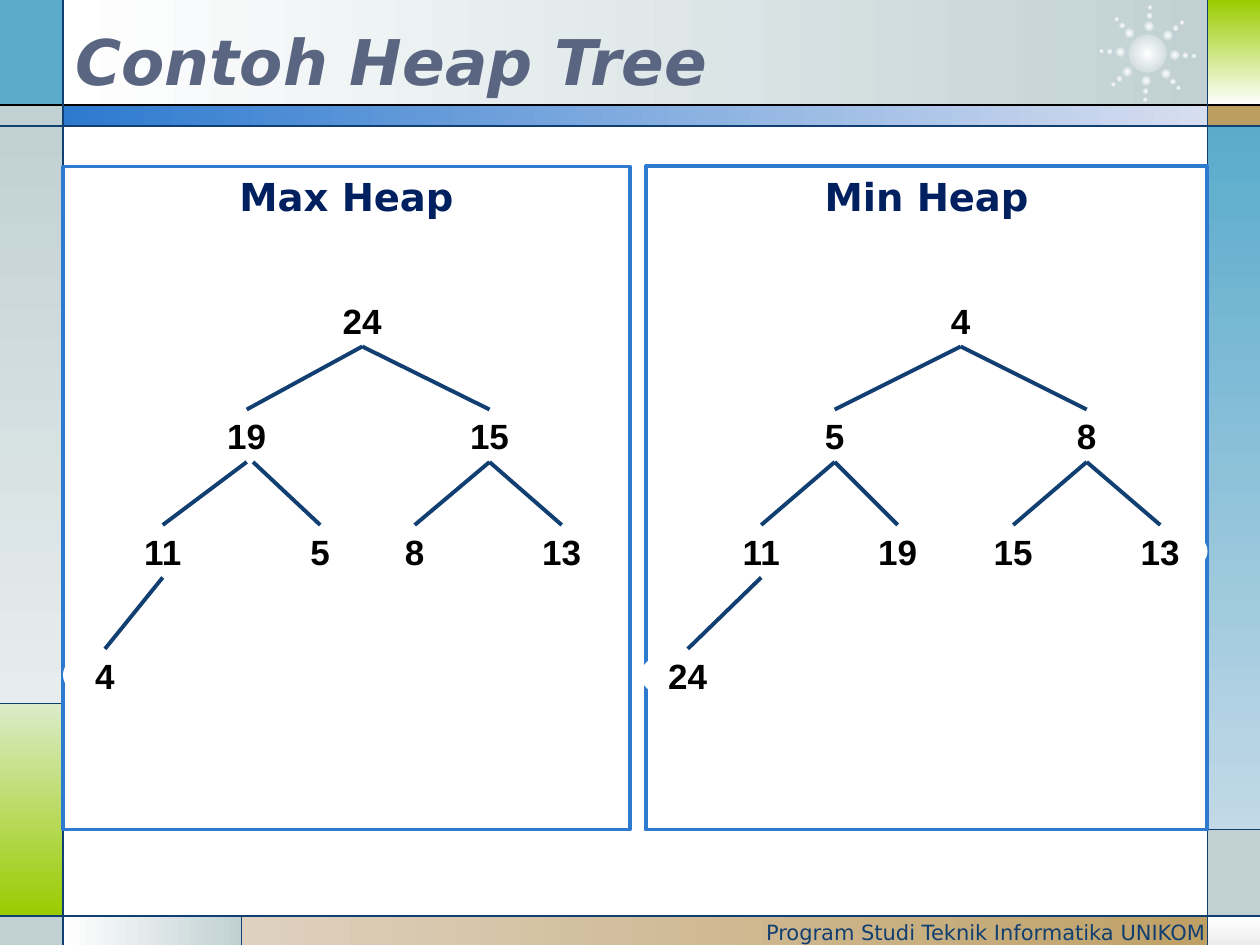
import math
from typing import NamedTuple

import lxml.etree
import pptx
import pptx.dml.color
import pptx.enum.shapes
import pptx.enum.text
import pptx.oxml.ns
import pptx.util

RGBColor = pptx.dml.color.RGBColor
Shape = pptx.enum.shapes.MSO_SHAPE
Align = pptx.enum.text.PP_ALIGN
Anchor = pptx.enum.text.MSO_ANCHOR
qn = pptx.oxml.ns.qn

WHITE = RGBColor(0xFF, 0xFF, 0xFF)
BLACK = RGBColor(0, 0, 0)
MIST = RGBColor(0xC1, 0xD1, 0xD3)
PALE_MIST = RGBColor(0xE7, 0xED, 0xEE)
SILVER = RGBColor(0xED, 0xED, 0xED)
SKY = RGBColor(0x5A, 0xAB, 0xCC)
PALE_SKY = RGBColor(0xC2, 0xD9, 0xE7)
GREEN = RGBColor(0x99, 0xCC, 0x00)
PALE_GREEN = RGBColor(0xDB, 0xEB, 0xC9)
TAN = RGBColor(0xBD, 0x9E, 0x61)
PALE_TAN = RGBColor(0xDE, 0xD1, 0xBF)
BLUE = RGBColor(0x2D, 0x7A, 0xCF)
PALE_BLUE = RGBColor(0xD7, 0xDE, 0xF0)
NAVY = RGBColor(0x11, 0x3F, 0x71)
HEADING = RGBColor(0x00, 0x20, 0x60)
SLATE = RGBColor(0x5A, 0x65, 0x81)

COLUMNS, ROWS = 120, 90
LEFT, RIGHT = 6, 115
BAND_TOP, BAND_BOTTOM = 10, 12
SIDE_LEFT, SIDE_RIGHT = 67, 79
FOOT, FOOT_SPLIT = 87.25, 23
NODE_ROWS, NODE_HEIGHT = (28, 39, 50, 61.8), 5
RIGHTWARD, DOWNWARD = 0, 270


class Node(NamedTuple):
    value: int
    left: float
    width: float = 9
    shift: float = 0

    @property
    def center(self):
        return self.left + self.width / 2


MAX_HEAP = [Node(24, 30), Node(19, 19), Node(15, 42.25, 8.75), Node(11, 11),
            Node(5, 26, shift=0.6), Node(8, 35), Node(13, 49), Node(4, 6, 8)]
MIN_HEAP = [Node(4, 88, 7), Node(5, 76, 7), Node(8, 100, 7), Node(11, 68),
            Node(19, 81), Node(15, 92), Node(13, 106), Node(24, 61)]


class Canvas:
    heading_font = "DejaVu Sans"
    node_font = "Arial"

    def __init__(self, presentation):
        self.slide = presentation.slides.add_slide(presentation.slide_layouts[6])
        self.column = presentation.slide_width / COLUMNS
        self.row = presentation.slide_height / ROWS

    def place(self, left, top, width, height):
        return (round(left * self.column), round(top * self.row),
                round(width * self.column), round(height * self.row))

    def shape(self, kind, box, colors, angle=RIGHTWARD, radial=False):
        shape = self.slide.shapes.add_shape(kind, *self.place(*box))
        shape.shadow.inherit = False
        shape.line.fill.background()
        if len(colors) == 1:
            shape.fill.solid()
            shape.fill.fore_color.rgb = colors[0]
            return shape
        shape.fill.gradient()
        for stop, color in zip(shape.fill.gradient_stops, colors):
            stop.color.rgb = color
        if radial:
            gradient = shape.element.spPr.find(qn("a:gradFill"))
            gradient.remove(gradient.find(qn("a:lin")))
            focus = lxml.etree.SubElement(gradient, qn("a:path"), {"path": "circle"})
            lxml.etree.SubElement(focus, qn("a:fillToRect"),
                                  dict.fromkeys("ltrb", "50000"))
        else:
            shape.fill.gradient_angle = angle
        return shape

    def block(self, left, top, right, bottom, *colors, angle=RIGHTWARD):
        box = (left, top, right - left, bottom - top)
        return self.shape(Shape.RECTANGLE, box, colors, angle)

    def dot(self, x, y, diameter):
        box = (x - diameter / 2, y - diameter / 2, diameter, diameter)
        self.shape(Shape.OVAL, box, (WHITE, MIST), radial=True)

    def line(self, x1, y1, x2, y2, color=NAVY, weight=0.75):
        connector = self.slide.shapes.add_connector(
            pptx.enum.shapes.MSO_CONNECTOR.STRAIGHT,
            *self.place(x1, y1, x2, y2))
        connector.line.color.rgb = color
        connector.line.width = pptx.util.Pt(weight)
        lxml.etree.SubElement(connector.element.spPr, qn("a:effectLst"))

    def set_text(self, shape, text, size, color, align, anchor=Anchor.TOP,
                 font=heading_font, bold=False, italic=False):
        frame = shape.text_frame
        frame.text = text
        frame.word_wrap = True
        frame.vertical_anchor = anchor
        paragraph = frame.paragraphs[0]
        paragraph.alignment = align
        style = paragraph.runs[0].font
        style.name, style.size = font, pptx.util.Pt(size)
        style.bold, style.italic = bold, italic
        style.color.rgb = color

    def label(self, box, *content, **style):
        self.set_text(self.slide.shapes.add_textbox(*self.place(*box)),
                      *content, **style)

    def panel(self, left, right, title, weight):
        panel = self.block(left, 15.85, right, SIDE_RIGHT, WHITE)
        panel.line.color.rgb = BLUE
        panel.line.width = pptx.util.Pt(weight)
        self.set_text(panel, title, 22, HEADING, Align.CENTER, bold=True)

    def node(self, node, top):
        box = (node.left, top, node.width, NODE_HEIGHT)
        shape = self.shape(Shape.OVAL, box, (WHITE,))
        self.set_text(shape, str(node.value), 20, BLACK, Align.CENTER,
                      Anchor.MIDDLE, self.node_font, bold=True)
        frame = shape.text_frame
        frame.margin_left = frame.margin_right = 0

    def heap(self, nodes):
        tops = [NODE_ROWS[int(math.log2(index + 1))] for index in range(len(nodes))]
        for node, top in zip(nodes, tops):
            self.node(node, top)
        for index in range(1, len(nodes)):
            child, parent = nodes[index], (index - 1) // 2
            self.line(nodes[parent].center + child.shift, tops[parent] + NODE_HEIGHT,
                      child.center, tops[index], weight=2.25)

    def sunburst(self, x, y):
        self.dot(x, y, 3.6)
        for ray in range(8):
            angle = math.radians(45 * ray + 3)
            for radius, diameter in ((3.6, 0.55), (4.4, 0.42), (2.6, 0.9)):
                self.dot(x + radius * math.cos(angle),
                         y + radius * math.sin(angle), diameter)

    def backdrop(self):
        self.block(LEFT, 0, RIGHT, BAND_TOP, WHITE, MIST)
        self.block(0, 0, LEFT, BAND_TOP, SKY)
        self.block(0, BAND_TOP, LEFT, BAND_BOTTOM, MIST)
        self.block(0, BAND_BOTTOM, LEFT, SIDE_LEFT, MIST, PALE_MIST, angle=DOWNWARD)
        self.block(0, SIDE_LEFT, LEFT, FOOT, PALE_GREEN, GREEN, angle=DOWNWARD)
        self.block(0, FOOT, LEFT, ROWS, MIST)
        self.block(LEFT, FOOT, FOOT_SPLIT, ROWS, WHITE, MIST)
        self.block(FOOT_SPLIT, FOOT, COLUMNS, ROWS, PALE_TAN, TAN)
        self.block(RIGHT, FOOT, COLUMNS, ROWS, WHITE, SILVER, angle=DOWNWARD)
        self.block(RIGHT, SIDE_RIGHT, COLUMNS, FOOT, MIST)
        self.block(RIGHT, BAND_BOTTOM, COLUMNS, SIDE_RIGHT, SKY, PALE_SKY, angle=DOWNWARD)
        self.block(RIGHT, BAND_TOP, COLUMNS, BAND_BOTTOM, TAN)
        self.block(RIGHT, 0, COLUMNS, BAND_TOP, GREEN, WHITE, angle=DOWNWARD)
        self.block(LEFT, BAND_TOP, RIGHT, BAND_BOTTOM, BLUE, PALE_BLUE)
        self.sunburst(109.3, 5.1)
        for row, color in ((BAND_TOP, BLACK), (BAND_BOTTOM, NAVY), (FOOT, NAVY)):
            self.line(0, row, COLUMNS, row, color)
        for column in (LEFT, RIGHT):
            self.line(column, 0, column, ROWS)
        self.line(0, SIDE_LEFT, LEFT, SIDE_LEFT)
        self.line(FOOT_SPLIT, FOOT, FOOT_SPLIT, ROWS)
        self.line(RIGHT, SIDE_RIGHT, COLUMNS, SIDE_RIGHT)


def main():
    presentation = pptx.Presentation()
    presentation.slide_width = pptx.util.Inches(10)
    presentation.slide_height = pptx.util.Inches(7.5)
    canvas = Canvas(presentation)
    canvas.backdrop()
    canvas.label((67, 87, 49, 2.2), "Program Studi Teknik Informatika UNIKOM",
                 12, NAVY, Align.RIGHT)
    canvas.panel(LEFT, 60, "Max Heap", 2)
    canvas.panel(61.5, RIGHT, "Min Heap", 2.25)
    canvas.heap(MAX_HEAP)
    canvas.label((LEFT, 2, 93, 7.5), "Contoh Heap Tree", 36, SLATE, Align.LEFT,
                 Anchor.MIDDLE, bold=True, italic=True)
    canvas.heap(MIN_HEAP)
    presentation.save("out.pptx")


if __name__ == "__main__":
    main()
